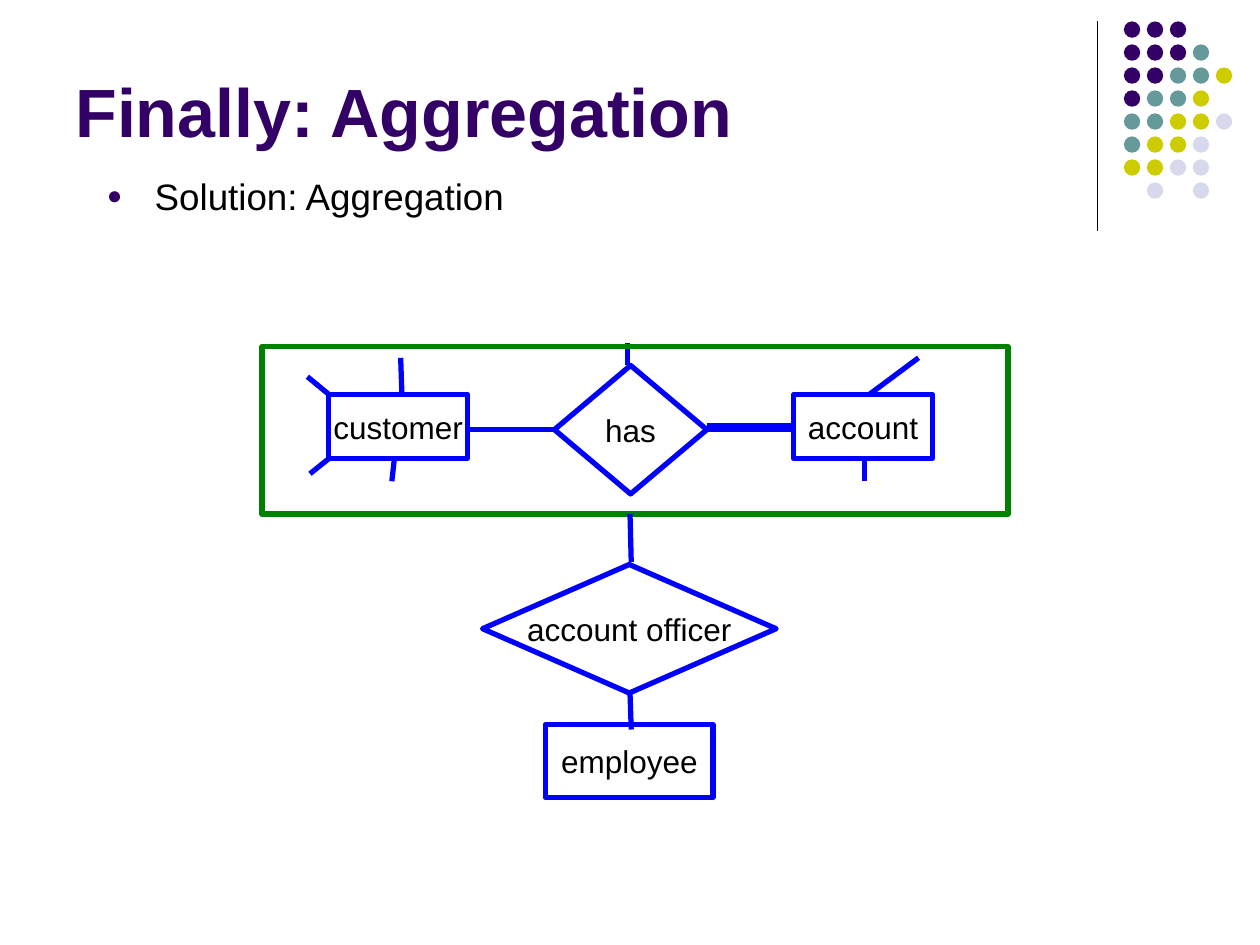
from lxml import etree
from pptx import Presentation
from pptx import util as u
from pptx.dml.color import RGBColor
from pptx.enum import shapes, text
from pptx.oxml import ns

BLACK = RGBColor(0x00, 0x00, 0x00)
PURPLE = RGBColor(0x33, 0x00, 0x66)
TEAL = RGBColor(0x66, 0x99, 0x99)
OLIVE = RGBColor(0xCC, 0xCC, 0x00)
LAVENDER = RGBColor(0xD8, 0xD8, 0xEC)
BLUE = RGBColor(0x00, 0x00, 0xFF)
GREEN = RGBColor(0x00, 0x80, 0x00)

DOT_COLORS = {"P": PURPLE, "T": TEAL, "O": OLIVE, "L": LAVENDER}
DOT_ROWS = ["PPP", "PPPT", "PPTTO", "PTTO", "TTOOL", "TOOL", "OOLL", " L L"]
DOT_PITCH = 0.73 / 4

RECTANGLE = shapes.MSO_SHAPE.RECTANGLE
DIAMOND = shapes.MSO_SHAPE.DIAMOND
NODES = [
    (RECTANGLE, "customer", (2.61, 3.13, 1.1, 0.51)),
    (DIAMOND, "has", (4.4, 2.9, 1.21, 1.02)),
    (RECTANGLE, "account", (6.3, 3.13, 1.1, 0.51)),
    (DIAMOND, "account officer", (3.83, 4.48, 2.33, 1.02)),
    (RECTANGLE, "employee", (4.33, 5.75, 1.33, 0.58)),
]
LINKS = [
    (3.71, 3.41, 4.4, 3.41),
    (5.61, 3.41, 6.3, 3.41),
    (5.61, 3.38, 6.3, 3.38),
    (5, 5.5, 5.01, 5.79),
]
ATTRIBUTE_STUBS = [
    (3.18, 2.84, 3.19, 3.13),
    (3.13, 3.64, 3.11, 3.82),
    (2.44, 2.99, 2.61, 3.13),
    (2.61, 3.64, 2.46, 3.76),
    (6.86, 3.64, 6.86, 3.82),
    (7.29, 2.84, 6.9, 3.13),
    (4.98, 2.9, 4.98, 2.72),
]
AGGREGATE_LINK = (5, 4.08, 5.01, 4.46)


class SlideBuilder:
    """Draws diagram elements on one slide in a shared style."""

    font = "Arial"
    stroke = 3

    def __init__(self, slide):
        self.slide = slide

    def add_span(self, para, wording, size, color=BLACK, bold=False):
        span = para.add_run()
        span.text = wording
        span.font.name = self.font
        span.font.size = u.Pt(size)
        span.font.bold = bold
        span.font.color.rgb = color

    def textbox(self, place, anchor):
        box = self.slide.shapes.add_textbox(*map(u.Inches, place))
        box.text_frame.word_wrap = True
        box.text_frame.vertical_anchor = anchor
        return box.text_frame.paragraphs[0]

    def title(self, wording, place):
        para = self.textbox(place, text.MSO_ANCHOR.BOTTOM)
        self.add_span(para, wording, 39, PURPLE, bold=True)

    def bullet(self, wording, place):
        para = self.textbox(place, text.MSO_ANCHOR.TOP)
        props = para._p.get_or_add_pPr()
        indent = u.Inches(0.38)
        props.set("marL", str(indent))
        props.set("indent", str(-indent))
        color = etree.SubElement(props, ns.qn("a:buClr"))
        etree.SubElement(color, ns.qn("a:srgbClr"), val=str(PURPLE))
        etree.SubElement(props, ns.qn("a:buSzPct"), val="70000")
        etree.SubElement(props, ns.qn("a:buFont"), typeface=self.font)
        etree.SubElement(props, ns.qn("a:buChar"), char="●")
        self.add_span(para, wording, 21)

    def shape(self, kind, place, fill=None, line=None):
        shape = self.slide.shapes.add_shape(kind, *map(u.Inches, place))
        shape.shadow.inherit = False
        if fill is None:
            shape.fill.background()
        else:
            shape.fill.solid()
            shape.fill.fore_color.rgb = fill
        if line is None:
            shape.line.fill.background()
        else:
            shape.line.color.rgb = line
            shape.line.width = u.Pt(self.stroke)
        return shape

    def node(self, kind, wording, place):
        frame = self.shape(kind, place, line=BLUE).text_frame
        frame.word_wrap = False
        frame.vertical_anchor = text.MSO_ANCHOR.MIDDLE
        para = frame.paragraphs[0]
        para.alignment = text.PP_ALIGN.CENTER
        self.add_span(para, wording, 18)

    def line(self, ends, color=BLUE, width=stroke):
        line = self.slide.shapes.add_connector(
            shapes.MSO_CONNECTOR.STRAIGHT, *map(u.Inches, ends))
        line.line.color.rgb = color
        line.line.width = u.Pt(width)
        etree.SubElement(line._element.spPr, ns.qn("a:effectLst"))

    def dots(self, left, top, size):
        for row, letters in enumerate(DOT_ROWS):
            for column, letter in enumerate(letters):
                if letter in DOT_COLORS:
                    place = (left + column * DOT_PITCH, top + row * DOT_PITCH, size, size)
                    self.shape(shapes.MSO_SHAPE.OVAL, place, fill=DOT_COLORS[letter])


def main():
    deck = Presentation()
    deck.slide_width = u.Inches(10)
    deck.slide_height = u.Inches(7.5)
    page = SlideBuilder(deck.slides.add_slide(deck.slide_layouts[6]))

    page.line((8.71, 0.17, 8.71, 1.83), BLACK, 0.75)
    page.dots(8.92, 0.17, 0.13)
    page.title("Finally: Aggregation", (0.5, 0.13, 8.25, 1.12))
    page.bullet("Solution: Aggregation", (0.75, 1.33, 8.5, 4.17))

    for node in NODES:
        page.node(*node)
    for ends in LINKS + ATTRIBUTE_STUBS:
        page.line(ends)
    page.shape(RECTANGLE, (2.08, 2.75, 5.92, 1.33), line=GREEN)
    page.line(AGGREGATE_LINK)

    deck.save("out.pptx")


if __name__ == "__main__":
    main()
